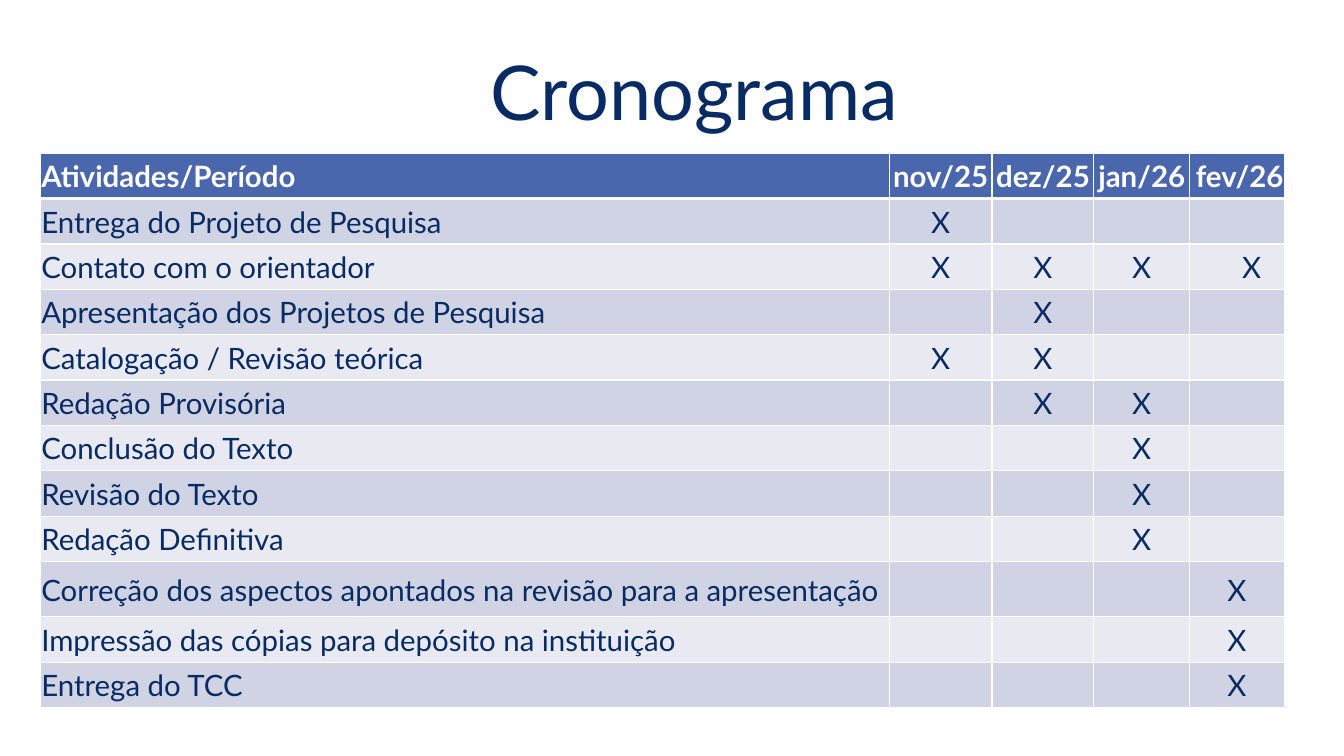
import dataclasses

import pptx
import pptx.dml.color
import pptx.enum.text
import pptx.oxml
import pptx.oxml.ns
import pptx.util

Inches = pptx.util.Inches
Align = pptx.enum.text.PP_ALIGN
Anchor = pptx.enum.text.MSO_ANCHOR


@dataclasses.dataclass(frozen=True)
class Theme:
    font: str = "Lato"
    title_size: int = 54
    table_size: int = 21
    navy: str = "072B62"
    white: str = "FFFFFF"
    header_fill: str = "4A66AC"
    band_fills: tuple = ("D0D3E3", "E9EAF1")
    thin_border: int = 1
    thick_border: int = 3


MONTHS = ["nov/25", "dez/25", "jan/26", "fev/26"]
ACTIVITIES = [
    ("Entrega do Projeto de Pesquisa", "nov/25"),
    ("Contato com o orientador", "nov/25 dez/25 jan/26 fev/26"),
    ("Apresentação dos Projetos de Pesquisa", "dez/25"),
    ("Catalogação / Revisão teórica", "nov/25 dez/25"),
    ("Redação Provisória", "dez/25 jan/26"),
    ("Conclusão do Texto", "jan/26"),
    ("Revisão do Texto", "jan/26"),
    ("Redação Definitiva", "jan/26"),
    ("Correção dos aspectos apontados na revisão para a apresentação", "fev/26"),
    ("Impressão das cópias para depósito na instituição", "fev/26"),
    ("Entrega do TCC", "fev/26"),
]
COLUMN_WIDTHS = [8.42, 1.02, 1.01, 0.95, 0.94]
ROW_HEIGHT = 0.45
TALL_ROW, TALL_ROW_HEIGHT = 9, 0.55
INDENTED_CELL, INDENT = (2, 4), 0.51


def set_attributes(target, values):
    for name, value in values.items():
        setattr(target, name, value)


class SlideBuilder:
    """Draws styled elements on the current slide."""

    def __init__(self, slide, theme):
        self.slide = slide
        self.theme = theme

    def text(self, paragraph, text, size, color, bold=False, align=Align.LEFT):
        paragraph.alignment = align
        run = paragraph.add_run()
        run.text = text
        set_attributes(run.font, {
            "name": self.theme.font, "size": pptx.util.Pt(size), "bold": bold})
        run.font.color.rgb = pptx.dml.color.RGBColor.from_string(color)

    def title(self, text, left, top, width, height):
        shape = self.slide.shapes.add_textbox(
            Inches(left), Inches(top), Inches(width), Inches(height))
        set_attributes(shape.text_frame, {
            "word_wrap": True, "vertical_anchor": Anchor.TOP})
        paragraph = shape.text_frame.paragraphs[0]
        paragraph.line_spacing = 0.9
        self.text(paragraph, text, self.theme.title_size, self.theme.navy,
                  align=Align.CENTER)

    def borders(self, cell, top, bottom):
        properties = cell._tc.get_or_add_tcPr()
        thin = self.theme.thin_border
        sides = {"lnL": thin, "lnR": thin, "lnT": top, "lnB": bottom}
        for position, (side, points) in enumerate(sides.items()):
            properties.insert(position, pptx.oxml.parse_xml(
                f'<a:{side} {pptx.oxml.ns.nsdecls("a")} w="{pptx.util.Pt(points)}">'
                f'<a:solidFill><a:srgbClr val="{self.theme.white}"/></a:solidFill>'
                f'</a:{side}>'))

    def cell(self, cell, text, row, align):
        theme = self.theme
        header = row == 0
        fill = theme.header_fill if header else theme.band_fills[(row - 1) % 2]
        set_attributes(cell, {
            "vertical_anchor": Anchor.MIDDLE, "margin_left": Inches(0.01),
            "margin_right": Inches(0.01), "margin_top": Inches(0.01),
            "margin_bottom": 0})
        cell.fill.solid()
        cell.fill.fore_color.rgb = pptx.dml.color.RGBColor.from_string(fill)
        self.borders(cell,
                     theme.thick_border if row == 1 else theme.thin_border,
                     theme.thick_border if header else theme.thin_border)
        if text:
            self.text(cell.text_frame.paragraphs[0], text, theme.table_size,
                      theme.white if header else theme.navy, header, align)

    def schedule(self, rows, left, top):
        heights = [ROW_HEIGHT] * len(rows)
        heights[TALL_ROW] = TALL_ROW_HEIGHT
        table = self.slide.shapes.add_table(
            len(rows), len(COLUMN_WIDTHS), Inches(left), Inches(top),
            Inches(sum(COLUMN_WIDTHS)), Inches(sum(heights))).table
        table.horz_banding = False
        for column, width in zip(table.columns, COLUMN_WIDTHS):
            column.width = Inches(width)
        for row, height in zip(table.rows, heights):
            row.height = Inches(height)
        for row, texts in enumerate(rows):
            for column, text in enumerate(texts):
                align = Align.CENTER if column else Align.LEFT
                if (row, column) == (0, len(MONTHS)):
                    align = Align.RIGHT
                elif (row, column) == INDENTED_CELL:
                    align = Align.LEFT
                self.cell(table.cell(row, column), text, row, align)
        paragraph = table.cell(*INDENTED_CELL).text_frame.paragraphs[0]
        paragraph._p.get_or_add_pPr().set("marL", str(Inches(INDENT)))


def main():
    presentation = pptx.Presentation()
    set_attributes(presentation, {
        "slide_width": Inches(13.33), "slide_height": Inches(7.5)})
    slide = presentation.slides.add_slide(presentation.slide_layouts[6])
    builder = SlideBuilder(slide, Theme())
    builder.title("Cronograma", 1.72, 0.5, 10.33, 1.04)
    rows = [["Atividades/Período"] + MONTHS]
    for activity, marked in ACTIVITIES:
        rows.append([activity] + ["X" if month in marked.split() else ""
                                  for month in MONTHS])
    builder.schedule(rows, 0.4, 1.52)
    presentation.save("out.pptx")


if __name__ == "__main__":
    main()
